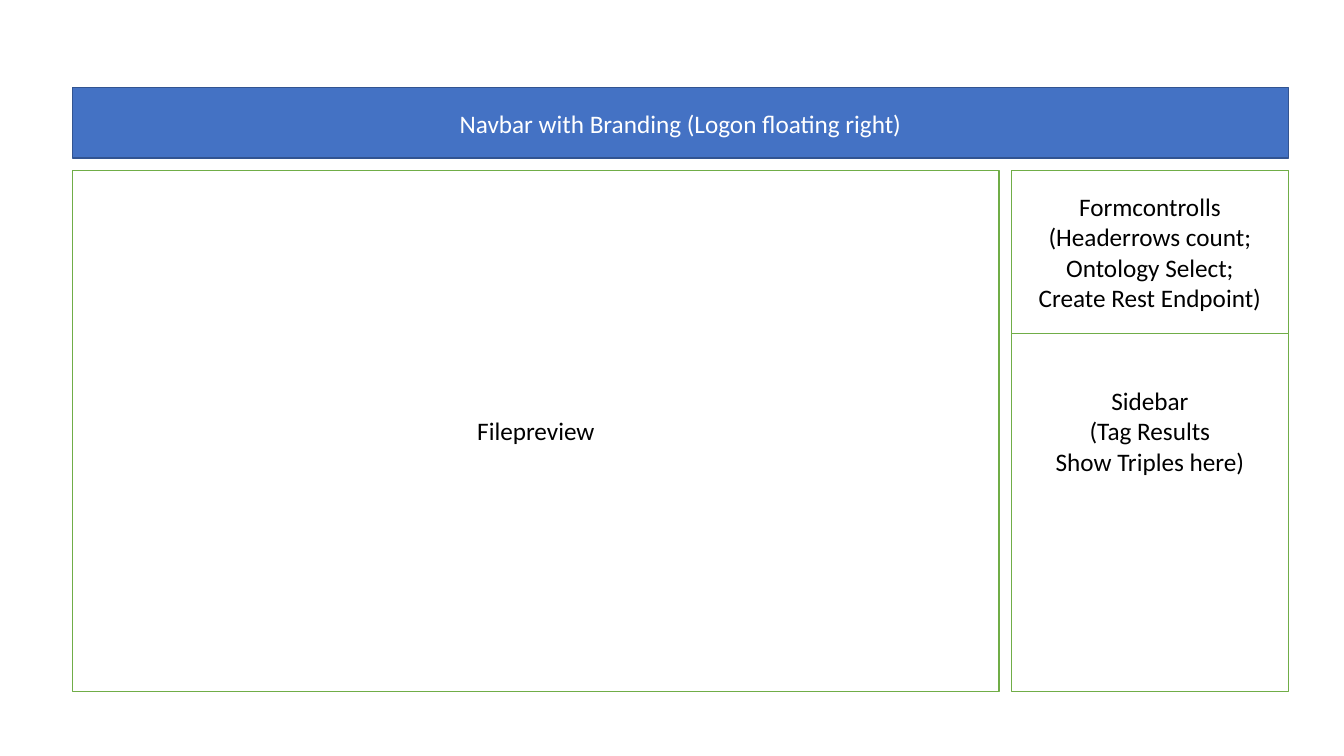
import pptx
import pptx.util
import pptx.dml.color
import pptx.enum.shapes
import pptx.enum.text

Inches = pptx.util.Inches
RGBColor = pptx.dml.color.RGBColor

BLUE = RGBColor(0x44, 0x72, 0xC4)
DARK_BLUE = RGBColor(0x32, 0x54, 0x91)
GREEN = RGBColor(0x70, 0xAD, 0x47)
WHITE = RGBColor(0xFF, 0xFF, 0xFF)
BLACK = RGBColor(0x00, 0x00, 0x00)

deck = pptx.Presentation()
deck.slide_width = Inches(13.33)
deck.slide_height = Inches(7.5)
page = deck.slides.add_slide(deck.slide_layouts[6])

left, right = 0.72, 12.78
top, bottom = 0.87, 6.86
gap = 0.12
navbar_height = 0.7
sidebar_width = 2.75
controls_height = 1.62

content_top = top + navbar_height + gap
content_height = bottom - content_top
sidebar_left = right - sidebar_width
preview_width = sidebar_left - gap - left

panels = [
    ("Navbar with Branding (Logon floating right)",
     left, top, right - left, navbar_height, BLUE, DARK_BLUE, WHITE),
    ("Filepreview",
     left, content_top, preview_width, content_height, WHITE, GREEN, BLACK),
    ("Sidebar\v(Tag Results\vShow Triples here)",
     sidebar_left, content_top, sidebar_width, content_height, WHITE, GREEN, BLACK),
    ("Formcontrolls\v(Headerrows count;\vOntology Select;\vCreate Rest Endpoint)",
     sidebar_left, content_top, sidebar_width, controls_height, WHITE, GREEN, BLACK),
]

for label, x, y, width, height, fill, outline, ink in panels:
    box = page.shapes.add_shape(
        pptx.enum.shapes.MSO_SHAPE.RECTANGLE,
        Inches(x), Inches(y), Inches(width), Inches(height))
    box.shadow.inherit = False
    box.fill.solid()
    box.fill.fore_color.rgb = fill
    box.line.color.rgb = outline
    box.line.width = pptx.util.Pt(1)
    frame = box.text_frame
    frame.text = label
    frame.word_wrap = True
    frame.vertical_anchor = pptx.enum.text.MSO_ANCHOR.MIDDLE
    para = frame.paragraphs[0]
    para.alignment = pptx.enum.text.PP_ALIGN.CENTER
    for span in para.runs:
        span.font.name = "Calibri"
        span.font.size = pptx.util.Pt(18)
        span.font.color.rgb = ink

deck.save("out.pptx")
